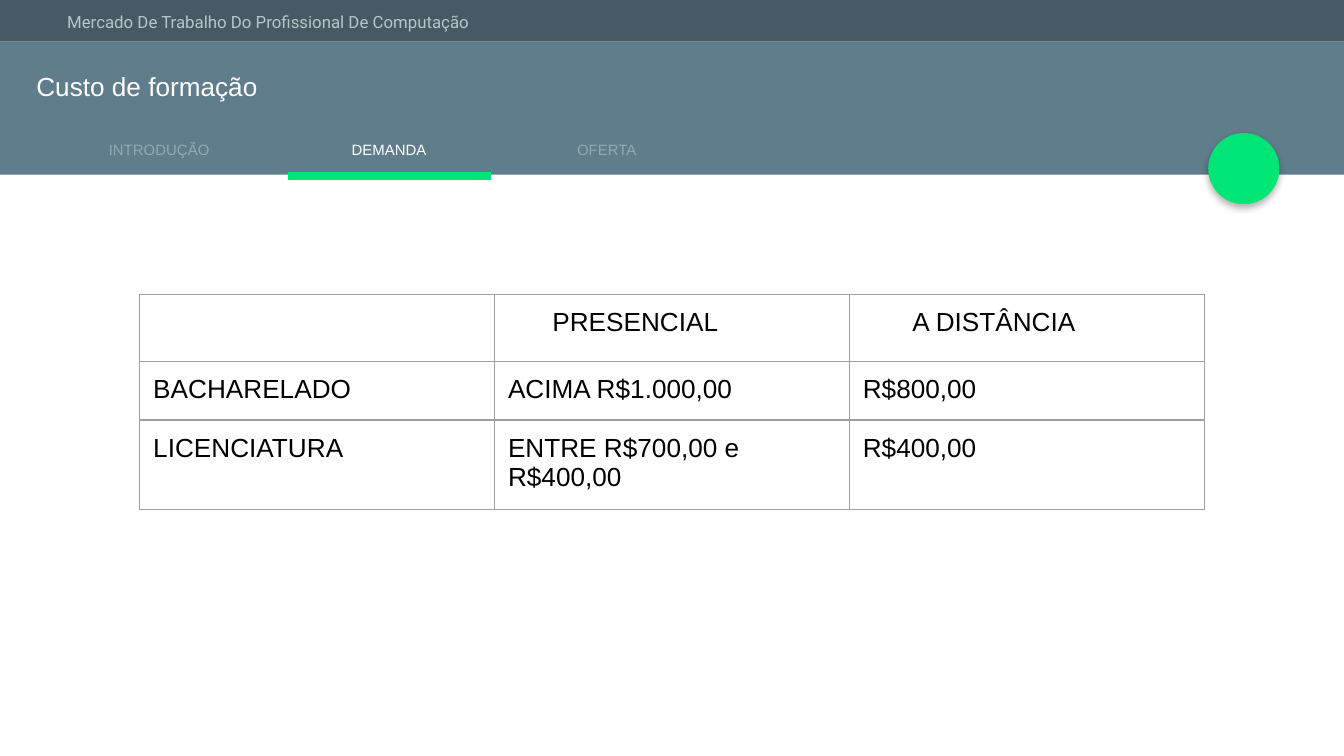
from dataclasses import dataclass

from lxml import etree
from pptx import Presentation
from pptx.dml.color import RGBColor
from pptx.enum.shapes import MSO_CONNECTOR as Connector, MSO_SHAPE as Shape
from pptx.enum.text import MSO_ANCHOR as Anchor, MSO_AUTO_SIZE as AutoSize, PP_ALIGN as Align
from pptx.oxml import parse_xml
from pptx.oxml.ns import nsdecls, qn
from pptx.util import Inches, Pt


@dataclass(frozen=True)
class Theme:
    top_bar: str = "455A64"
    header: str = "607D8B"
    accent: str = "00E676"
    course: str = "B6C6CC"
    tab_idle: str = "92AAB4"
    light: str = "FFFFFF"
    ink: str = "000000"
    grid: str = "9E9E9E"
    sans: str = "Arial"
    course_font: str = "Roboto"
    tab_size: float = 8
    course_size: float = 9
    body_size: float = 14
    grid_width: float = 0.75
    marker_width: float = 4.5


def write(frame, text, *, size, color, font, align=Align.LEFT):
    frame.text = text
    paragraph = frame.paragraphs[0]
    paragraph.alignment = align
    style = paragraph.runs[0].font
    style.size, style.name, style.bold = Pt(size), font, False
    style.color.rgb = RGBColor.from_string(color)


def set_margins(target, horizontal, vertical):
    target.margin_left = target.margin_right = Inches(horizontal)
    target.margin_top = target.margin_bottom = Inches(vertical)


class SlideBuilder:
    """Draw styled elements on one slide."""

    def __init__(self, slide, theme):
        self.slide = slide
        self.theme = theme

    def shape(self, kind, box, color):
        block = self.slide.shapes.add_shape(kind, *map(Inches, box))
        block.shadow.inherit = False
        block.fill.solid()
        block.fill.fore_color.rgb = RGBColor.from_string(color)
        block.line.fill.background()
        return block

    def floating_button(self, box):
        button = self.shape(Shape.OVAL, box, self.theme.accent)
        effects = button.element.spPr.find(qn("a:effectLst"))
        effects.append(parse_xml(
            f'<a:outerShdw {nsdecls("a")} blurRad="{Pt(4)}" dist="{Pt(2)}" dir="5400000" '
            'algn="ctr" rotWithShape="0"><a:srgbClr val="000000">'
            '<a:alpha val="30000"/></a:srgbClr></a:outerShdw>'))

    def label(self, box, text, **text_format):
        frame = self.slide.shapes.add_textbox(*map(Inches, box)).text_frame
        frame.word_wrap = True
        frame.vertical_anchor = Anchor.MIDDLE
        set_margins(frame, 0.07, 0.04)
        write(frame, text, **text_format)

    def marker(self, left, right, y):
        underline = self.slide.shapes.add_connector(
            Connector.STRAIGHT, *map(Inches, (left, y, right, y)))
        underline.line.color.rgb = RGBColor.from_string(self.theme.accent)
        underline.line.width = Pt(self.theme.marker_width)
        etree.SubElement(underline.element.spPr, qn("a:effectLst"))

    def title(self, box, text):
        heading = self.slide.shapes.title
        heading.left, heading.top, heading.width, heading.height = map(Inches, box)
        frame = heading.text_frame
        frame.word_wrap = True
        frame.auto_size = AutoSize.NONE
        frame.vertical_anchor = Anchor.MIDDLE
        set_margins(frame, 0.1, 0.1)
        write(frame, text, size=self.theme.body_size, color=self.theme.light,
              font=self.theme.sans)
        heading.element.getparent().append(heading.element)

    def outline(self, cell):
        properties = cell._tc.get_or_add_tcPr()
        for side in ("lnL", "lnR", "lnT", "lnB"):
            properties.append(parse_xml(
                f'<a:{side} {nsdecls("a")} w="{Pt(self.theme.grid_width)}"><a:solidFill>'
                f'<a:srgbClr val="{self.theme.grid}"/></a:solidFill></a:{side}>'))
        cell.fill.background()

    def table(self, left, top, column_width, row_height, rows, header_indents):
        columns = len(rows[0])
        grid = self.slide.shapes.add_table(
            len(rows), columns, Inches(left), Inches(top),
            Inches(column_width * columns), Inches(row_height * len(rows))).table
        grid.first_row = grid.horz_banding = False
        for column in grid.columns:
            column.width = Inches(column_width)
        for row in grid.rows:
            row.height = Inches(row_height)
        for r, values in enumerate(rows):
            for c, value in enumerate(values):
                cell = grid.cell(r, c)
                set_margins(cell, 0.1, 0.1)
                if r == 0:
                    cell.margin_left = Inches(0.1 + header_indents[c])
                self.outline(cell)
                if value:
                    write(cell.text_frame, value, size=self.theme.body_size,
                          color=self.theme.ink, font=self.theme.sans)


def main():
    theme = Theme()
    deck = Presentation()
    deck.slide_width = Inches(10)
    deck.slide_height = deck.slide_width * 9 // 16
    page = SlideBuilder(deck.slides.add_slide(deck.slide_layouts[5]), theme)

    page.shape(Shape.RECTANGLE, (0, 0, 10, 0.31), theme.top_bar)
    page.shape(Shape.RECTANGLE, (0, 0.31, 10, 0.99), theme.header)
    page.label((0.43, 0.05, 4.17, 0.23), "Mercado De Trabalho Do Profissional De Computação",
               size=theme.course_size, color=theme.course, font=theme.course_font)
    page.floating_button((8.99, 0.99, 0.53, 0.53))

    tab_width = 1.51
    active_tab = "DEMANDA"
    tabs = {"INTRODUÇÃO": 0.43, active_tab: 2.14, "OFERTA": 3.76}
    for tab, left in tabs.items():
        if tab == active_tab:
            page.marker(left, left + tab_width, 1.31)
        page.label((left, 1.01, tab_width, 0.2), tab, size=theme.tab_size,
                   color=theme.light if tab == active_tab else theme.tab_idle,
                   font=theme.sans, align=Align.CENTER)

    costs = [
        ("", "PRESENCIAL", "A DISTÂNCIA"),
        ("BACHARELADO", "ACIMA R$1.000,00", "R$800,00"),
        ("LICENCIATURA", "ENTRE R$700,00 e R$400,00", "R$400,00"),
    ]
    page.table(1.04, 2.19, 2.64, 0.42, costs, header_indents=(0, 0.33, 0.37))
    page.title((0.17, 0.42, 7.61, 0.44), "Custo de formação")

    deck.save("out.pptx")


if __name__ == "__main__":
    main()
